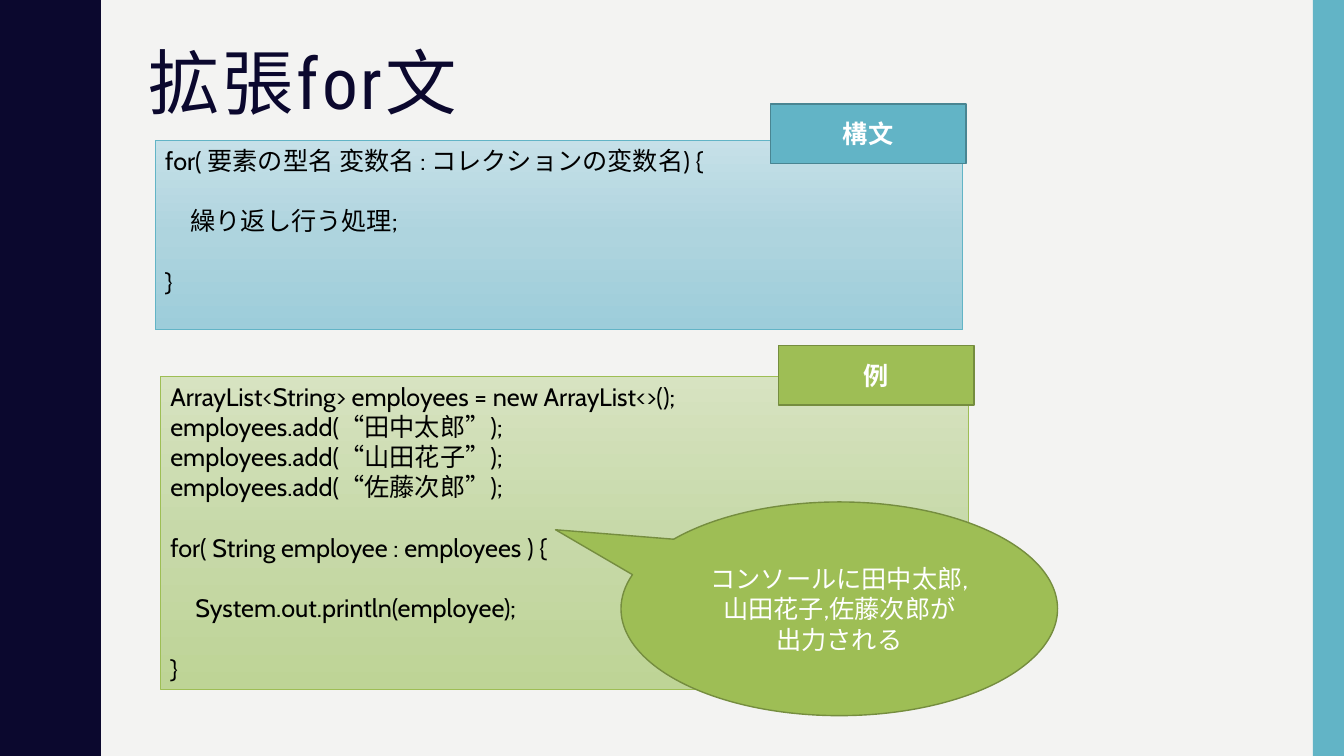
import copy
from dataclasses import dataclass

import pptx
import pptx.dml.color
import pptx.enum.shapes
import pptx.enum.text
import pptx.oxml.ns
import pptx.util

Inches, Pt = pptx.util.Inches, pptx.util.Pt
SHAPE = pptx.enum.shapes.MSO_SHAPE
ALIGN = pptx.enum.text.PP_ALIGN
ANCHOR = pptx.enum.text.MSO_ANCHOR


@dataclass(frozen=True)
class Theme:
    back: str = "F3F3F2"
    navy: str = "0B082E"
    blue: str = "62B4C6"
    teal: str = "498592"
    green: str = "9EBE55"
    olive: str = "758D3F"
    black: str = "000000"
    white: str = "FFFFFF"
    sky: tuple = ("C6E0E8", "AED4DE", "9DCDDA")
    leaf: tuple = ("D7E3C1", "C7D9A9", "BED496")
    head: str = "Roboto Condensed"
    body: str = "Cabin"
    big: int = 51
    size: int = 18
    gap: float = 21.6  # height of one empty code line, in points


def rgb(code):
    return pptx.dml.color.RGBColor.from_string(code)


class Page:
    def __init__(self, deck, theme):
        self.theme = theme
        self.slide = deck.slides.add_slide(deck.slide_layouts[5])
        fill = self.slide.background.fill
        fill.solid()
        fill.fore_color.rgb = rgb(theme.back)

    def paint(self, shape, fill, line=None, width=1):
        shape.shadow.inherit = False
        shape.fill.solid()
        shape.fill.fore_color.rgb = rgb(fill)
        if line:
            shape.line.color.rgb = rgb(line)
            shape.line.width = Pt(width)
        else:
            shape.line.fill.background()

    def style(self, para, color, font, size, align=ALIGN.LEFT, bold=False):
        para.alignment = align
        para.font.name = font
        para.font.size = Pt(size)
        para.font.color.rgb = rgb(color)
        para.font.bold = bold

    def shape(self, kind, box, fill, line=None, width=1):
        shape = self.slide.shapes.add_shape(kind, *map(Inches, box))
        self.paint(shape, fill, line, width)
        return shape

    def wave(self, low, high, cycle, count):
        """Fill the left edge with a wavy border of equal cycles."""
        rise = [(low, 0), (low, 0.07), (0.79, 0.14), (0.8, 0.2),
                (0.81, 0.25), (0.83, 0.29), (0.85, 0.33), (0.87, 0.38)]
        rise += [(low + high - x, cycle / 2 - y) for x, y in rise[-2::-1]]
        turn = rise + [(x, cycle - y) for x, y in rise[-2:0:-1]]
        edge = [(x, y + cycle * i) for i in range(count) for x, y in turn]
        edge += [(low, cycle * count), (0, cycle * count)]
        form = self.slide.shapes.build_freeform(0, 0, scale=Inches(1))
        form.add_line_segments(edge, close=True)
        self.paint(form.convert_to_shape(), self.theme.navy)

    def title(self, text, box):
        title = self.slide.shapes.title
        title.left, title.top, title.width, title.height = map(Inches, box)
        frame = title.text_frame
        frame.auto_size = pptx.enum.text.MSO_AUTO_SIZE.NONE
        frame.vertical_anchor = ANCHOR.TOP
        frame.text = text
        para = frame.paragraphs[0]
        para.line_spacing = 0.9
        self.style(para, self.theme.navy, self.theme.head, self.theme.big)
        para.runs[0].font._element.set("spc", "200")

    def code(self, box, shades, line, text):
        """Draw a shaded box; each empty line becomes space above the next."""
        shape = self.shape(SHAPE.RECTANGLE, box, shades[0], line, 0.5)
        shape.fill.gradient()
        shape.fill.gradient_angle = 270
        stops = shape._element.spPr.find(".//" + pptx.oxml.ns.qn("a:gsLst"))
        stops.insert(1, copy.deepcopy(stops[0]))
        for i, stop in enumerate(shape.fill.gradient_stops):
            stop.position = i / 2
            stop.color.rgb = rgb(shades[i])

        rows = text.split("\n")
        frame = shape.text_frame
        frame.vertical_anchor = ANCHOR.TOP
        frame.text = "\n".join(row for row in rows if row)
        after = [i and not rows[i - 1] for i, row in enumerate(rows) if row]
        for para, gap in zip(frame.paragraphs, after):
            self.style(para, self.theme.black, self.theme.body, self.theme.size)
            if gap:
                para.space_before = Pt(self.theme.gap)

    def label(self, kind, box, fill, line, text, bold=False):
        shape = self.shape(kind, box, fill, line)
        frame = shape.text_frame
        frame.vertical_anchor = ANCHOR.MIDDLE
        frame.text = text
        for para in frame.paragraphs:
            self.style(para, self.theme.white, self.theme.body,
                       self.theme.size, ALIGN.CENTER, bold)
        return shape


def main():
    deck = pptx.Presentation()
    deck.slide_width, deck.slide_height = Inches(13.33), Inches(7.5)
    theme = Theme()
    page = Page(deck, theme)

    # Side borders and title
    page.wave(0.78, 0.97, 1.5, 5)
    page.shape(SHAPE.RECTANGLE, (13.02, 0, 0.31, 7.5), theme.blue)
    page.title("拡張for文", (1.37, 0.42, 11.13, 1.63))

    # Code boxes
    page.code((1.54, 1.39, 8.01, 1.88), theme.sky, theme.blue,
              "for( 要素の型名 変数名 : コレクションの変数名) {\n\n"
              "　繰り返し行う処理;\n\n}")
    page.code((1.59, 3.73, 8.01, 3.11), theme.leaf, theme.green,
              "ArrayList<String> employees = new ArrayList<>();\n"
              "employees.add(“田中太郎”);\n"
              "employees.add(“山田花子”);\n"
              "employees.add(“佐藤次郎”);\n\n"
              "for( String employee : employees ) {\n\n"
              "　System.out.println(employee);\n\n}")

    # Tags on the boxes
    page.label(SHAPE.RECTANGLE, (7.64, 1.03, 1.94, 0.59),
               theme.blue, theme.teal, "構文", True)
    page.label(SHAPE.RECTANGLE, (7.72, 3.43, 1.94, 0.59),
               theme.green, theme.olive, "例", True)

    # Callout with the result
    note = page.label(SHAPE.OVAL_CALLOUT, (6.16, 4.98, 4.33, 2.12),
                      theme.green, theme.olive,
                      "コンソールに田中太郎,\n山田花子,佐藤次郎が\n出力される")
    note.adjustments[0] = -0.65
    note.adjustments[1] = -0.37

    deck.save("out.pptx")


if __name__ == "__main__":
    main()
